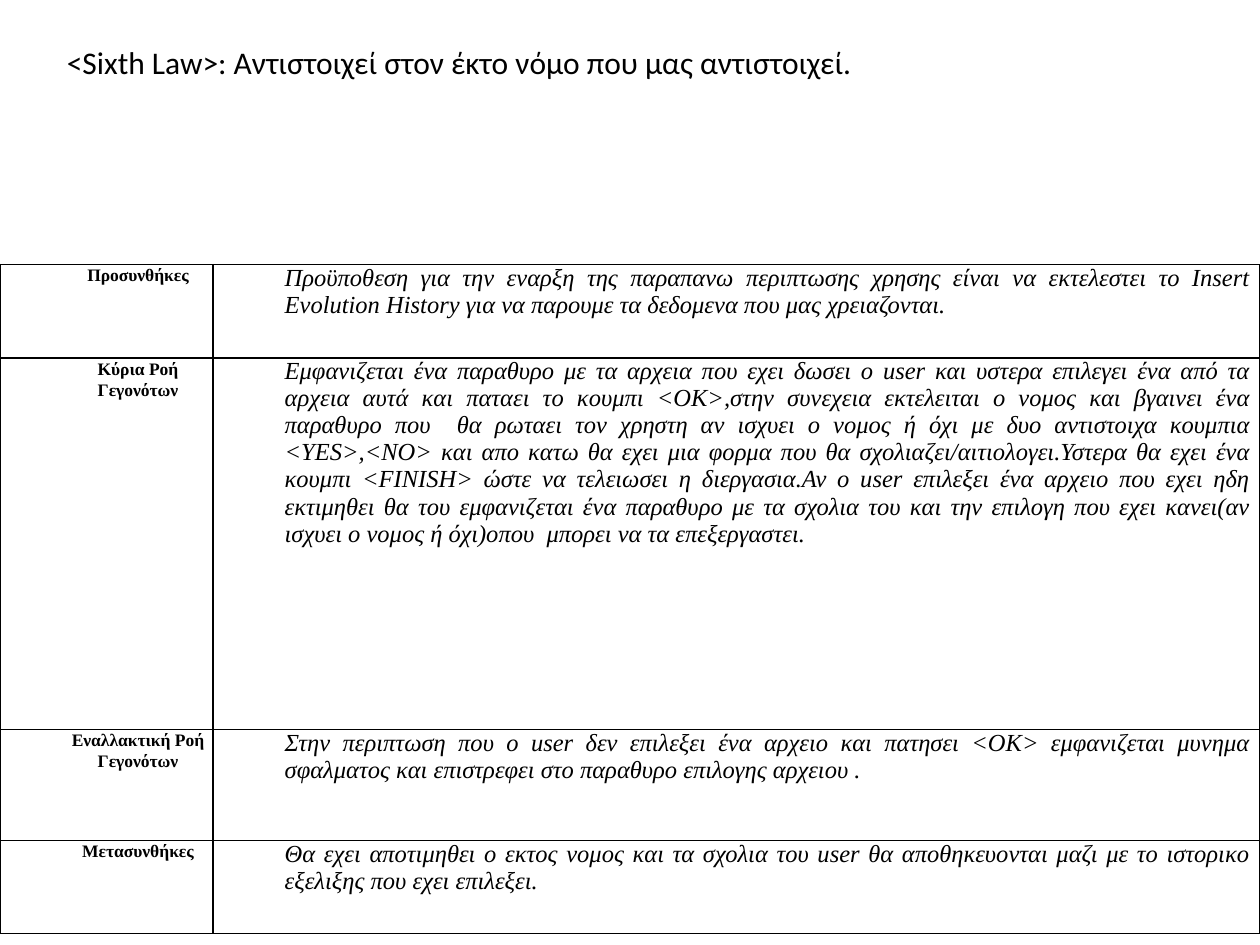
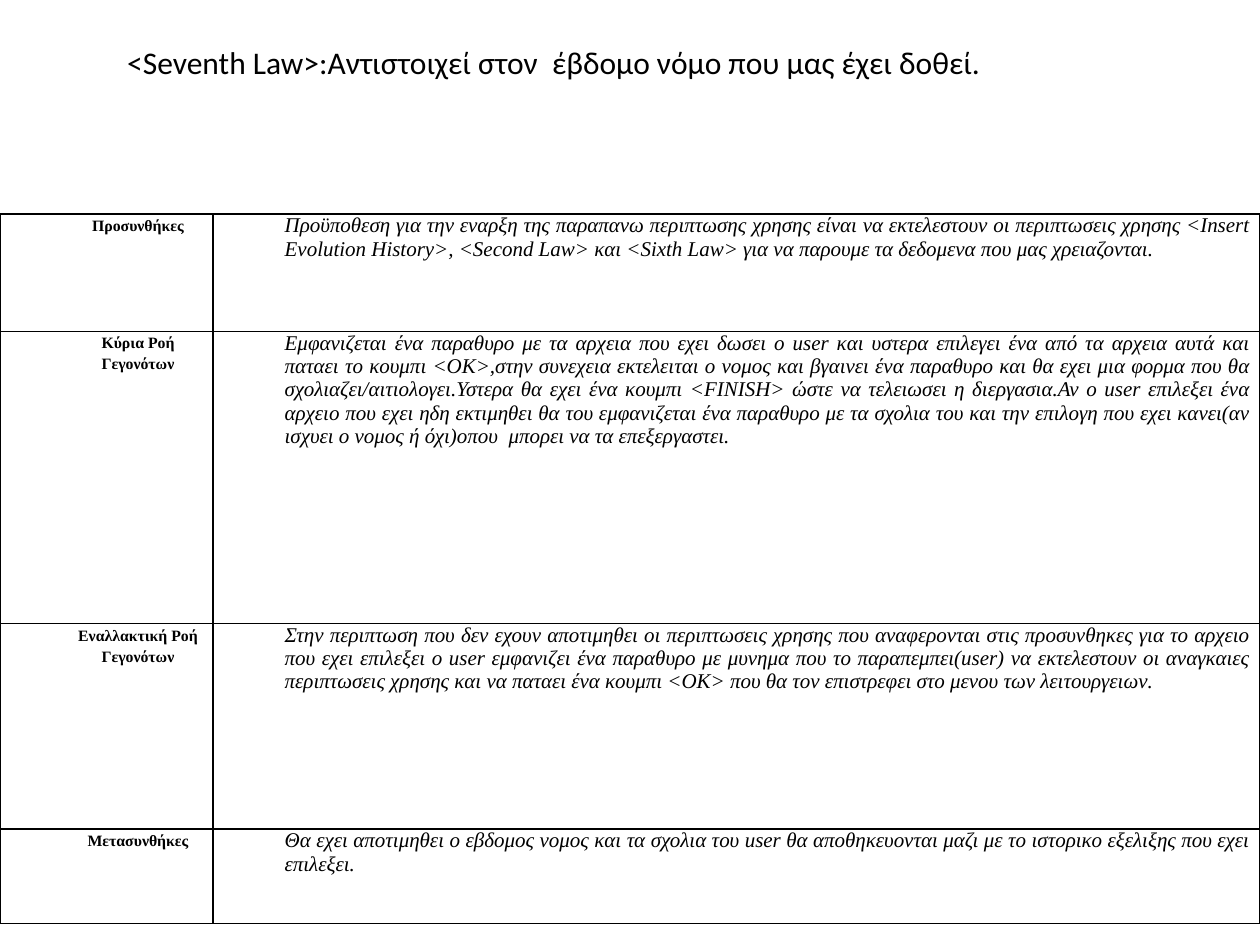
"""Builds two slides that describe the use cases of the sixth and seventh law."""
from lxml import etree
from pptx import Presentation
from pptx.dml.color import RGBColor
from pptx.enum.text import MSO_ANCHOR, MSO_AUTO_SIZE, PP_ALIGN
from pptx.oxml.ns import qn
from pptx.util import Inches, Pt

LEFT, CENTER, JUSTIFY = PP_ALIGN.LEFT, PP_ALIGN.CENTER, PP_ALIGN.JUSTIFY
TOP, FIT_SHAPE = MSO_ANCHOR.TOP, MSO_AUTO_SIZE.SHAPE_TO_FIT_TEXT

COLORS = {"text": "000000", "border": "000000", "background": "FFFFFF"}
TITLE_ONLY = 5
COLUMN_WIDTHS = (1.69, 8.31)
CELL_MARGINS = {"margin_left": Inches(0.07), "margin_right": Inches(0.07),
                "margin_top": 0, "margin_bottom": 0}
TITLE_FONT = {"name": "Calibri", "size": Pt(18), "bold": False}
LABEL_FONT = {"name": "Times New Roman", "bold": True, "italic": False}
DETAIL_FONT = {"name": "Times New Roman", "bold": False, "italic": True}
LABEL_PARA = {"alignment": CENTER, "line_spacing": Pt(12), "space_after": Pt(6)}
DETAIL_PARA = {"alignment": JUSTIFY, "space_after": Pt(6)}

LABELS = ("Προσυνθήκες", "Κύρια Ροή Γεγονότων",
          "Εναλλακτική Ροή Γεγονότων", "Μετασυνθήκες")

USE_CASES = (
    {
        "title": "<Sixth Law>: Αντιστοιχεί στον έκτο νόμο που μας αντιστοιχεί.",
        "title_left": 0.43, "title_width": 8.82,
        "table_top": 2.1, "row_heights": (0.74, 2.95, 0.88, 0.74),
        "label_size": 10, "detail_size": 14,
        "details": (
            "Προϋποθεση για την εναρξη της παραπανω περιπτωσης χρησης είναι να "
            "εκτελεστει το Insert Evolution History για να παρουμε τα δεδομενα "
            "που μας χρειαζονται.",
            "Εμφανιζεται ένα παραθυρο με τα αρχεια που εχει δωσει ο user και "
            "υστερα επιλεγει ένα από τα αρχεια αυτά και παταει το κουμπι "
            "<ΟΚ>,στην συνεχεια εκτελειται ο νομος και βγαινει ένα παραθυρο "
            "που  θα ρωταει τον χρηστη αν ισχυει ο νομος ή όχι με δυο "
            "αντιστοιχα κουμπια <YES>,<NO> και απο κατω θα εχει μια φορμα που "
            "θα σχολιαζει/αιτιολογει.Υστερα θα εχει ένα κουμπι <FINISH> ώστε "
            "να τελειωσει η διεργασια.Αν ο user επιλεξει ένα αρχειο που εχει "
            "ηδη εκτιμηθει θα του εμφανιζεται ένα παραθυρο με τα σχολια του "
            "και την επιλογη που εχει κανει(αν ισχυει ο νομος ή όχι)οπου  "
            "μπορει να τα επεξεργαστει.",
            "Στην περιπτωση που ο user δεν επιλεξει ένα αρχειο και πατησει "
            "<ΟΚ> εμφανιζεται μυνημα σφαλματος και επιστρεφει στο παραθυρο "
            "επιλογης αρχειου .",
            "Θα εχει αποτιμηθει ο εκτος νομος και τα σχολια του user θα "
            "αποθηκευονται μαζι με το ιστορικο εξελιξης που εχει επιλεξει.",
        ),
    },
    {
        "title": "<Seventh Law>:Αντιστοιχεί στον  έβδομο νόμο που μας έχει δοθεί.",
        "title_left": 0.91, "title_width": 8.03,
        "table_top": 1.7, "row_heights": (0.93, 2.32, 1.63, 0.75),
        "label_size": 9, "detail_size": 12,
        "details": (
            "Προϋποθεση για την εναρξη της παραπανω περιπτωσης χρησης είναι να "
            "εκτελεστουν οι περιπτωσεις χρησης <Insert Evolution History>, "
            "<Second Law> και <Sixth Law> για να παρουμε τα δεδομενα που μας "
            "χρειαζονται.",
            "Εμφανιζεται ένα παραθυρο με τα αρχεια που εχει δωσει ο user και "
            "υστερα επιλεγει ένα από τα αρχεια αυτά και παταει το κουμπι "
            "<ΟΚ>,στην συνεχεια εκτελειται ο νομος και βγαινει ένα παραθυρο "
            "και θα εχει μια φορμα που θα σχολιαζει/αιτιολογει.Υστερα θα εχει "
            "ένα κουμπι <FINISH> ώστε να τελειωσει η διεργασια.Αν ο user "
            "επιλεξει ένα αρχειο που εχει ηδη εκτιμηθει θα του εμφανιζεται ένα "
            "παραθυρο με τα σχολια του και την επιλογη που εχει κανει(αν "
            "ισχυει ο νομος ή όχι)οπου  μπορει να τα επεξεργαστει.",
            "Στην περιπτωση που δεν εχουν αποτιμηθει οι περιπτωσεις χρησης που "
            "αναφερονται στις προσυνθηκες για το αρχειο που εχει επιλεξει ο "
            "user εμφανιζει ένα παραθυρο με μυνημα που το παραπεμπει(user) να "
            "εκτελεστουν οι αναγκαιες περιπτωσεις χρησης και να παταει ένα "
            "κουμπι <ΟΚ> που θα τον επιστρεφει στο μενου των λειτουργειων.",
            "Θα εχει αποτιμηθει ο εβδομος νομος και τα σχολια του user θα "
            "αποθηκευονται μαζι με το ιστορικο εξελιξης που εχει επιλεξει.",
        ),
    },
)


def apply_format(target, values):
    """Set every attribute named in values on target."""
    for name, value in values.items():
        setattr(target, name, value)


def write_text(para, text, font, para_format):
    """Fill a paragraph with one formatted run."""
    apply_format(para, para_format)
    span = para.add_run()
    span.text = text
    apply_format(span.font, font)
    span.font.color.rgb = RGBColor.from_string(COLORS["text"])


def set_borders(cell):
    """Draw a one-point line on all four sides of a cell."""
    properties = cell._tc.get_or_add_tcPr()
    for side in ("lnL", "lnR", "lnT", "lnB"):
        line = etree.SubElement(properties, qn(f"a:{side}"), w=str(Pt(1)))
        fill = etree.SubElement(line, qn("a:solidFill"))
        etree.SubElement(fill, qn("a:srgbClr"), val=COLORS["border"])


def fill_cell(cell, text, font, para_format):
    """Format a cell and write its indented text."""
    apply_format(cell, CELL_MARGINS)
    set_borders(cell)
    cell.fill.background()
    para = cell.text_frame.paragraphs[0]
    write_text(para, text, font, para_format)
    apply_indent = para._p.get_or_add_pPr().set
    apply_indent("marL", str(Inches(0.5)))
    apply_indent("indent", "0")


def add_title(page, text, left, width):
    """Place the title placeholder as a left-aligned heading line."""
    title = page.shapes.title
    apply_format(title, {"left": Inches(left), "top": Inches(0.29),
                         "width": Inches(width), "height": Inches(0.4)})
    frame = title.text_frame
    apply_format(frame, {"word_wrap": True, "vertical_anchor": TOP,
                         "auto_size": FIT_SHAPE})
    write_text(frame.paragraphs[0], text, TITLE_FONT, {"alignment": LEFT})


def add_use_case_table(page, use_case):
    """Add the table with a label and a description in each row."""
    heights = use_case["row_heights"]
    table = page.shapes.add_table(
        len(LABELS), len(COLUMN_WIDTHS), 0, Inches(use_case["table_top"]),
        Inches(sum(COLUMN_WIDTHS)), Inches(sum(heights))).table
    apply_format(table, {"first_row": False, "horz_banding": False})
    for column, width in zip(table.columns, COLUMN_WIDTHS):
        column.width = Inches(width)
    label_font = {**LABEL_FONT, "size": Pt(use_case["label_size"])}
    detail_font = {**DETAIL_FONT, "size": Pt(use_case["detail_size"])}
    for row, height, label, detail in zip(table.rows, heights, LABELS,
                                          use_case["details"]):
        row.height = Inches(height)
        fill_cell(row.cells[0], label, label_font, LABEL_PARA)
        fill_cell(row.cells[1], detail, detail_font, DETAIL_PARA)


def add_use_case(deck, use_case):
    """Add one slide for a use case."""
    page = deck.slides.add_slide(deck.slide_layouts[TITLE_ONLY])
    background = page.background.fill
    background.solid()
    background.fore_color.rgb = RGBColor.from_string(COLORS["background"])
    add_use_case_table(page, use_case)
    add_title(page, use_case["title"], use_case["title_left"],
              use_case["title_width"])


def main():
    """Build and save the deck."""
    deck = Presentation()
    apply_format(deck, {"slide_width": Inches(10), "slide_height": Inches(7.5)})
    for use_case in USE_CASES:
        add_use_case(deck, use_case)
    deck.save("out.pptx")


if __name__ == "__main__":
    main()
